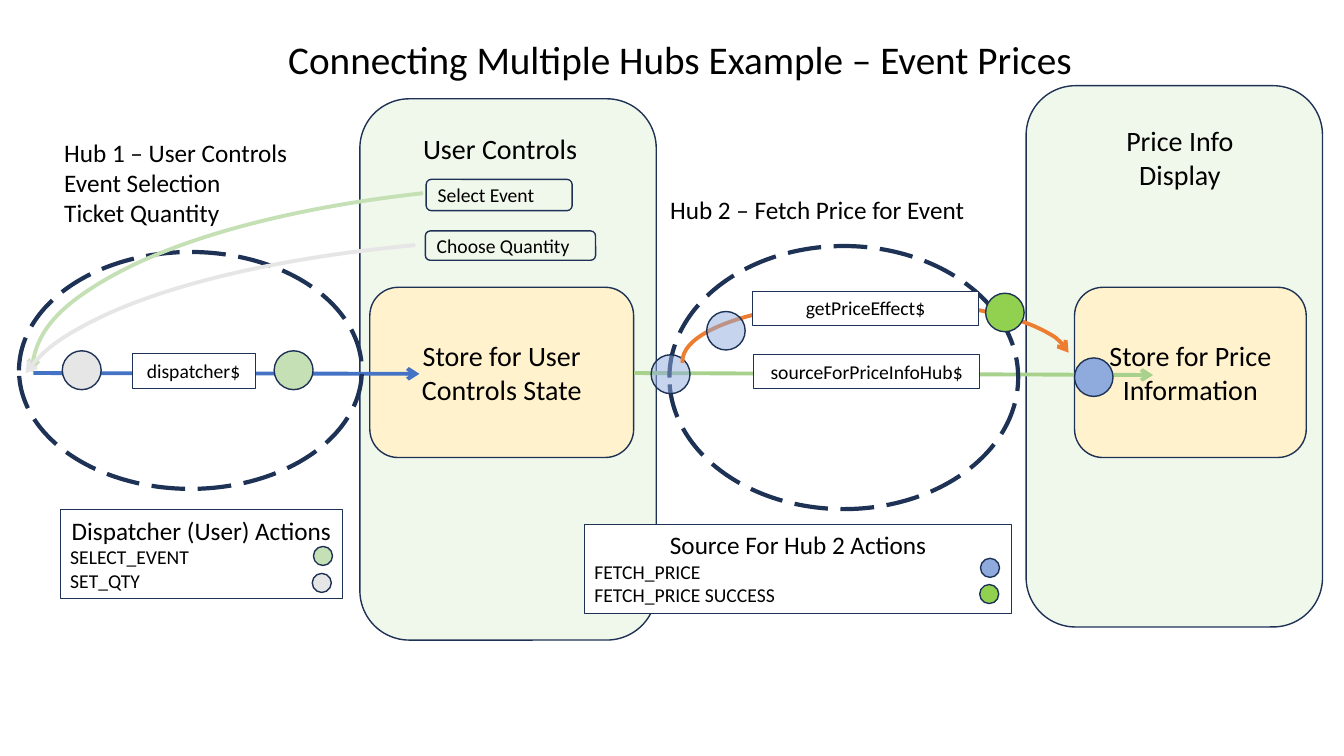
from pptx import Presentation
from pptx.dml.color import RGBColor
from pptx.enum import dml, shapes, text
from pptx.oxml import ns
from pptx.util import Cm, Pt
from lxml import etree

NAVY, MINT, CREAM = "1E3256", "E2F0D9", "FFF2CC"
GREEN, GREY, BLUE, LIME = "C5E0B4", "E7E6E6", "8FAADC", "92D050"
WHITE, BLACK = "FFFFFF", "000000"
KIND = shapes.MSO_SHAPE
ROUND, OVAL, RECT = KIND.ROUNDED_RECTANGLE, KIND.OVAL, KIND.RECTANGLE
LEFT, MID = text.PP_ALIGN.LEFT, text.PP_ALIGN.CENTER
TOP, CENTER = text.MSO_ANCHOR.TOP, text.MSO_ANCHOR.MIDDLE
hue = RGBColor.from_string

deck = Presentation()
deck.slide_width, deck.slide_height = Cm(33.87), Cm(19.05)
slide = deck.slides.add_slide(deck.slide_layouts[5])


def add(kind, box, fill=None, width=1, rows=(), anchor=TOP, clear=False):
    """Add a shape, or a text box if kind is None; rows hold (words, size, align)."""
    box = [Cm(v) for v in box]
    if kind is None:
        item = slide.shapes.add_textbox(*box)
    else:
        item = slide.shapes.add_shape(kind, *box)
        item.shadow.inherit = False
        item.line.color.rgb = hue(NAVY)
        item.line.width = Pt(width)
        if fill:
            item.fill.solid()
            item.fill.fore_color.rgb = hue(fill)
        else:
            item.fill.background()
        if clear:
            tint = item.fill._xPr.find(".//" + ns.qn("a:srgbClr"))
            etree.SubElement(tint, ns.qn("a:alpha"), val="50000")
    frame = item.text_frame
    frame.word_wrap = True
    frame.vertical_anchor = anchor
    for i, (words, size, align) in enumerate(rows):
        para = frame.add_paragraph() if i else frame.paragraphs[0]
        para.alignment = align
        run = para.add_run()
        run.text = words
        run.font.size, run.font.name = Pt(size), "Calibri"
        run.font.color.rgb = hue(BLACK)
    return item


def point(item, tone):
    """Colour a line or arc and put an arrowhead at its end."""
    item.line.color.rgb = hue(tone)
    item.line.width = Pt(2.75)
    props = item._element.spPr
    etree.SubElement(props.find(ns.qn("a:ln")), ns.qn("a:tailEnd"), type="arrow")
    if props.find(ns.qn("a:effectLst")) is None:
        etree.SubElement(props, ns.qn("a:effectLst"))


# Title
title = slide.shapes.title
title.left, title.top, title.width, title.height = Cm(7.01), Cm(0.76), Cm(21.59), Cm(1.45)
frame = title.text_frame
frame.word_wrap, frame.vertical_anchor = True, TOP
frame.auto_size = text.MSO_AUTO_SIZE.NONE
frame.paragraphs[0].alignment = LEFT
run = frame.paragraphs[0].add_run()
run.text = "Connecting Multiple Hubs Example – Event Prices"
run.font.size, run.font.name = Pt(28), "Calibri"
run.font.color.rgb = hue(BLACK)

# Component panels and their stores
for x, y in [(9.07, 2.49), (25.86, 2.16)]:
    add(ROUND, (x, y, 7.47, 13.64), MINT, clear=True)
for x, wide, name in [(27.08, 5.84, "Store for Price Information"),
                      (9.32, 6.65, "Store for User Controls State")]:
    add(ROUND, (x, 7.24, wide, 4.29), CREAM, rows=[(name, 20, MID)], anchor=CENTER)

# Hubs: stream arrow, ring, actions on the stream
hubs = [
    ((0.84, 9.4, 10.57, 9.42), "4472C4", (0.48, 6.35, 8.64, 5.97),
     [(6.91, 8.84, GREEN, False)], [(1.57, 8.84, GREY, False)]),
    ((15.98, 9.4, 29.06, 9.45), "A9D18E", (16.87, 6.2, 8.79, 6.63),
     [], [(16.41, 8.94, BLUE, True)]),
]
for ends, tone, ring, under, over in hubs:
    stream = slide.shapes.add_connector(
        shapes.MSO_CONNECTOR.STRAIGHT, *[Cm(v) for v in ends])
    point(stream, tone)
    for x, y, fill, clear in under:
        add(OVAL, (x, y, 0.98, 0.98), fill, clear=clear)
    loop = add(OVAL, ring, width=3)
    loop.line.dash_style = dml.MSO_LINE.LONG_DASH
    for x, y, fill, clear in over:
        add(OVAL, (x, y, 0.98, 0.98), fill, clear=clear)

# Effect arc, beneath its label
arc = add(KIND.ARC, (17.2, 7.59, 9.78, 3.02))
arc.adjustments[0], arc.adjustments[1] = 107.696, 214.488
point(arc, "ED7D31")

# Stream labels
for x, y, wide, name in [(3.33, 8.92, 3.1, "dispatcher$"),
                         (19, 8.94, 5.69, "sourceForPriceInfoHub$"),
                         (18.97, 7.34, 5.69, "getPriceEffect$")]:
    add(RECT, (x, y, wide, 0.86), WHITE, 0.75, [(name, 14, MID)])

# Actions around the second hub
for x, y, fill, clear in [(24.84, 7.39, LIME, False), (27.08, 9.02, BLUE, False),
                          (17.81, 7.85, BLUE, True)]:
    add(OVAL, (x, y, 0.97, 0.97), fill, clear=clear)

# Legends
legends = [
    ((1.52, 12.85, 7.11, 2.24), "Dispatcher (User) Actions",
     [("SELECT_EVENT", 7.9, 13.77, GREEN), ("SET_QTY", 7.87, 14.45, GREY)]),
    ((14.73, 13.21, 10.77, 2.24), "Source For Hub 2 Actions",
     [("FETCH_PRICE", 24.71, 14.07, BLUE), ("FETCH_PRICE SUCCESS", 24.69, 14.73, LIME)]),
]
for box, head, acts in legends:
    rows = [(head, 18, MID)] + [(act[0], 14, LEFT) for act in acts]
    add(RECT, box, WHITE, 0.75, rows)
    for _, x, y, fill in acts:
        add(OVAL, (x, y, 0.48, 0.48), fill)

# Captions
captions = [
    ((16.64, 4.78, 8.53, 1.02), 18, LEFT, ["Hub 2 – Fetch Price for Event"]),
    ((1.37, 3.33, 8.08, 2.57), 18, LEFT,
     ["Hub 1 – User Controls", "Event Selection", "Ticket Quantity"]),
    ((27.08, 3, 5.31, 1.96), 20, MID, ["Price Info Display"]),
    ((8.81, 3.18, 7.59, 1.12), 20, MID, ["User Controls"]),
]
for box, size, align, words in captions:
    add(None, box, rows=[(word, size, align) for word in words])

# User controls and the arcs that dispatch their actions
controls = [
    ("Select Event", (10.74, 4.52, 3.68, 0.79),
     (0.81, 4.62, 28.96, 9.5), 108.007, GREEN),
    ("Choose Quantity", (10.72, 5.82, 4.29, 0.74),
     (0.36, 5.99, 28.6, 8.53), 105.919, GREY),
]
for name, box, sweep, stop, tone in controls:
    add(ROUND, box, rows=[(name, 14, LEFT)], anchor=CENTER)
    arc = add(KIND.ARC, sweep)
    arc.adjustments[0], arc.adjustments[1] = 81.48, stop
    arc._element.spPr.find(ns.qn("a:xfrm")).set("flipV", "1")
    point(arc, tone)

deck.save("out.pptx")
